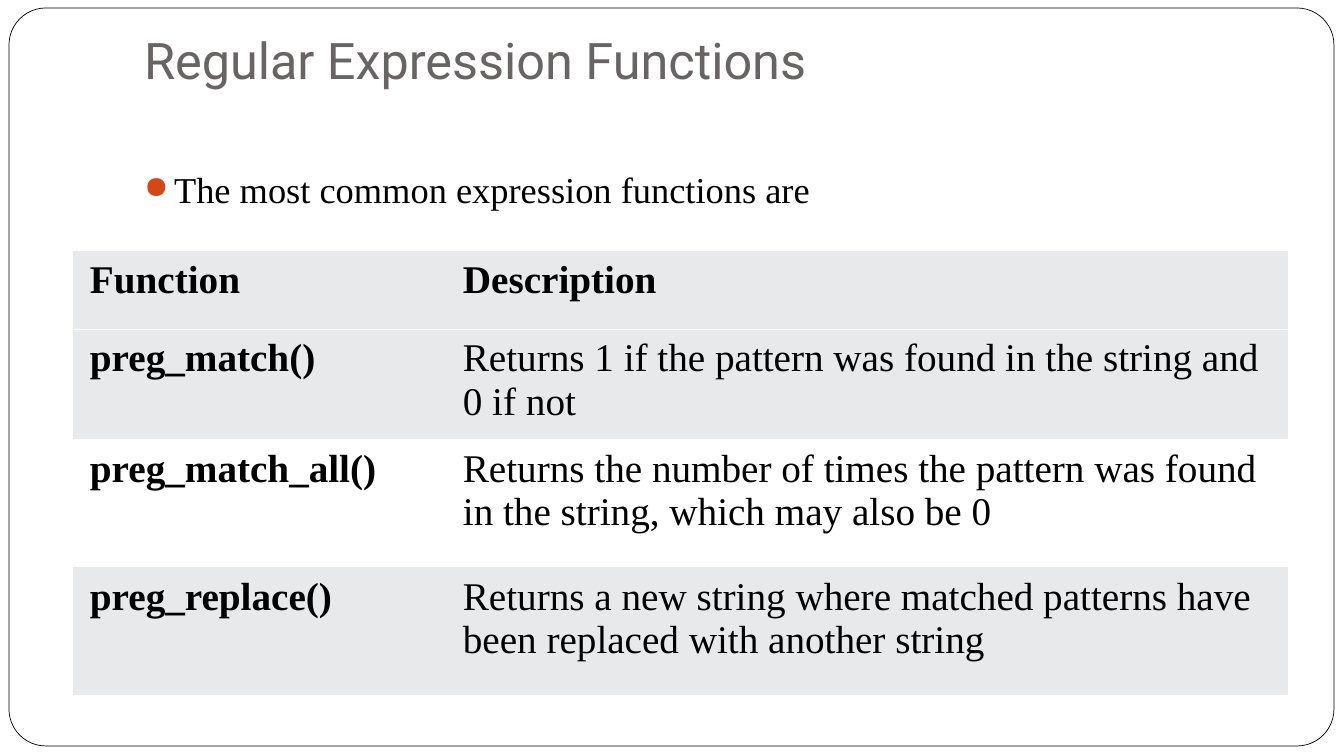
"""Build the slide that lists the regular expression functions."""
import dataclasses

import lxml.etree
import pptx
import pptx.dml.color
import pptx.enum.shapes
import pptx.enum.text
import pptx.oxml
import pptx.oxml.ns
import pptx.util

EMU_PER_PX = 914400 / 100.8
BLACK = pptx.dml.color.RGBColor(0x00, 0x00, 0x00)
WHITE = pptx.dml.color.RGBColor(0xFF, 0xFF, 0xFF)
TITLE_GREY = pptx.dml.color.RGBColor(0x69, 0x64, 0x64)
BAND_GREY = pptx.dml.color.RGBColor(0xE7, 0xE9, 0xEB)
BULLET_ORANGE = pptx.dml.color.RGBColor(0xD3, 0x48, 0x17)
SERIF = "Times New Roman"
PLAIN_TABLE_STYLE = "{2D5ABB26-0587-4C30-8999-92F81FD0307C}"


@dataclasses.dataclass(frozen=True)
class Style:
    """Font settings of a run."""
    font: str
    size: int
    color: pptx.dml.color.RGBColor
    bold: bool = False


@dataclasses.dataclass(frozen=True)
class Row:
    """One table row with its height in px."""
    function: str
    description: str
    height: int
    fill: pptx.dml.color.RGBColor
    header: bool = False


TITLE_STYLE = Style("Roboto", 36, TITLE_GREY)
BODY_STYLE = Style(SERIF, 26, BLACK)
CELL_STYLE = Style(SERIF, 28, BLACK)
BOLD_CELL_STYLE = dataclasses.replace(CELL_STYLE, bold=True)
COLUMN_WIDTHS = (382, 833)
CELL_LEFT_MARGINS = (17, 8)
ROWS = (
    Row("Function", "Description", 78, BAND_GREY, header=True),
    Row("preg_match()",
        "Returns 1 if the pattern was found in the string and 0 if not",
        103, BAND_GREY),
    Row("preg_match_all()",
        "Returns the number of times the pattern was found in the string, which may also be 0",
        128, WHITE),
    Row("preg_replace()",
        "Returns a new string where matched patterns have been replaced with another string",
        128, BAND_GREY),
)


def px(length: int) -> pptx.util.Emu:
    """Turn px into EMU."""
    return pptx.util.Emu(round(length * EMU_PER_PX))


def add_span(para, text: str, style: Style) -> None:
    """Add one styled run to a paragraph."""
    span = para.add_run()
    span.text = text
    span.font.name = style.font
    span.font.size = pptx.util.Pt(style.size)
    span.font.color.rgb = style.color
    span.font.bold = style.bold


def add_text(page, left: int, top: int, width: int, height: int, text: str, style: Style):
    """Add a wrapping text box and return its paragraph."""
    box = page.shapes.add_textbox(px(left), px(top), px(width), px(height))
    frame = box.text_frame
    frame.word_wrap = True
    frame.vertical_anchor = pptx.enum.text.MSO_ANCHOR.TOP
    frame.margin_left = frame.margin_right = px(10)
    frame.margin_top = frame.margin_bottom = 0
    para = frame.paragraphs[0]
    add_span(para, text, style)
    return para


def add_bullet(para, indent: int) -> None:
    """Give a paragraph a hanging round bullet."""
    properties = para._p.get_or_add_pPr()
    properties.set("marL", str(px(indent)))
    properties.set("indent", str(-px(indent)))
    namespace = pptx.oxml.ns.nsdecls("a")
    for markup in (
        f'<a:buClr {namespace}><a:srgbClr val="{BULLET_ORANGE}"/></a:buClr>',
        f'<a:buSzPct {namespace} val="85000"/>',
        f'<a:buChar {namespace} char="●"/>',
    ):
        properties.append(pptx.oxml.parse_xml(markup))


def add_bottom_rule(cell) -> None:
    """Draw a thin white line below a cell."""
    cell._tc.get_or_add_tcPr().insert(0, pptx.oxml.parse_xml(
        f'<a:lnB {pptx.oxml.ns.nsdecls("a")} w="9525"><a:solidFill>'
        f'<a:srgbClr val="{WHITE}"/></a:solidFill></a:lnB>'))


def add_frame(page) -> None:
    """Add the rounded border of the slide."""
    frame = page.shapes.add_shape(
        pptx.enum.shapes.MSO_SHAPE.ROUNDED_RECTANGLE, px(9), px(8), px(1325), px(738))
    frame.shadow.inherit = False
    frame.adjustments[0] = 0.05
    frame.fill.solid()
    frame.fill.fore_color.rgb = WHITE
    frame.line.color.rgb = BLACK
    frame.line.width = pptx.util.Pt(0.5)


def add_function_table(page) -> None:
    """Add the table of functions and descriptions."""
    table = page.shapes.add_table(
        len(ROWS), len(COLUMN_WIDTHS), px(73), px(251),
        px(sum(COLUMN_WIDTHS)), px(sum(row.height for row in ROWS))).table
    table._tbl.tblPr.find(pptx.oxml.ns.qn("a:tableStyleId")).text = PLAIN_TABLE_STYLE
    table.horz_banding = False
    for column, width in zip(table.columns, COLUMN_WIDTHS):
        column.width = px(width)
    for row_index, row in enumerate(ROWS):
        table.rows[row_index].height = px(row.height)
        for column_index, text in enumerate((row.function, row.description)):
            cell = table.cell(row_index, column_index)
            cell.margin_left = px(CELL_LEFT_MARGINS[column_index])
            cell.margin_right = cell.margin_top = cell.margin_bottom = px(8)
            cell.fill.solid()
            cell.fill.fore_color.rgb = row.fill
            bold = row.header or column_index == 0
            add_span(cell.text_frame.paragraphs[0], text,
                     BOLD_CELL_STYLE if bold else CELL_STYLE)
            if row.header:
                add_bottom_rule(cell)


def main() -> None:
    """Build and save the deck."""
    deck = pptx.Presentation()
    deck.slide_width, deck.slide_height = px(1344), px(756)
    page = deck.slides.add_slide(deck.slide_layouts[6])
    add_frame(page)
    add_text(page, 134, 29, 1142, 126, "Regular Expression Functions", TITLE_STYLE)
    intro = add_text(page, 134, 167, 1142, 60,
                     "The most common expression functions are", BODY_STYLE)
    add_bullet(intro, 30)
    add_function_table(page)
    deck.save("out.pptx")


if __name__ == "__main__":
    main()
